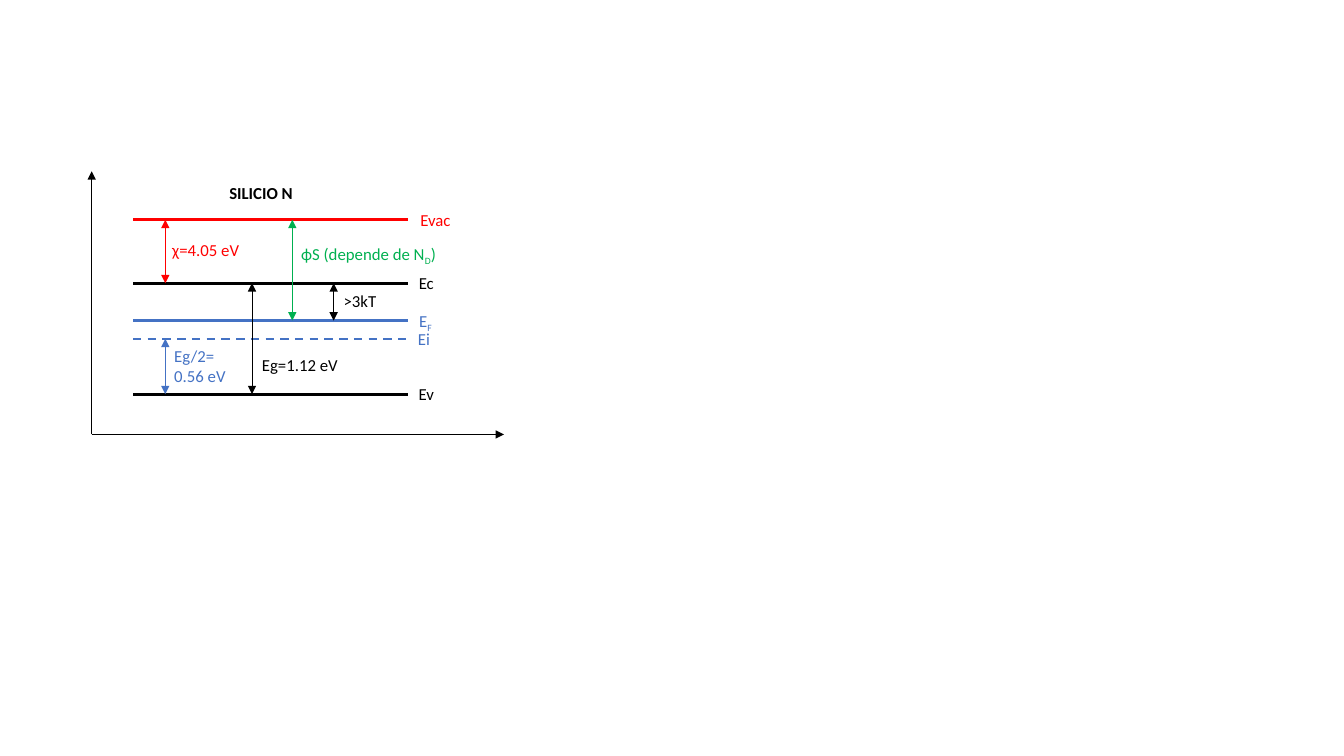
from dataclasses import dataclass

from lxml.etree import SubElement
from pptx import Presentation
from pptx.dml.color import RGBColor
from pptx.enum.dml import MSO_LINE
from pptx.enum.shapes import MSO_CONNECTOR
from pptx.enum.text import MSO_ANCHOR, MSO_AUTO_SIZE, PP_ALIGN
from pptx.oxml.ns import qn
from pptx.util import Inches, Pt

# The grid has square cells of 0.1 inch; all positions are columns and rows.
CELL = 0.1
COLUMNS, ROWS = 133.33, 75
LEVEL_START, LEVEL_END = 13.2, 40.5
LABEL_COLUMN = 40.3
AXIS_COLUMN, AXIS_ROW = 9.1, 43.1
LINE_HEIGHT = 3

BLACK, RED, BLUE, GREEN = "000000", "FF0000", "4472C4", "00B050"

EVAC, EC, EF, EV = 21.8, 28.1, 31.8, 39.1
EI = (EC + EV) / 2


@dataclass
class Level:
    row: float
    label: str
    label_width: float
    color: str
    subscript: str = ""
    dashed: bool = False


@dataclass
class Gap:
    column: float
    top: float
    bottom: float
    color: str


@dataclass
class Note:
    column: float
    row: float
    width: float
    lines: list[str]
    color: str
    subscript: str = ""
    ending: str = ""


LEVELS = [
    Level(EVAC, "Evac", 5.8, RED),
    Level(EC, "Ec", 4, BLACK),
    Level(EF, "E", 3.8, BLUE, subscript="F"),
    Level(EI, "Ei", 3.5, BLUE, dashed=True),
    Level(EV, "Ev", 4, BLACK),
]
GAPS = [
    Gap(16.4, EVAC, EC, RED),
    Gap(33.1, EC, EF, BLACK),
    Gap(16.4, EI, EV, BLUE),
    Gap(25, EC, EV, BLACK),
    Gap(29, EVAC, EF, GREEN),
]
NOTES = [
    Note(16.1, 23.3, 9.7, ["χ=4.05 eV"], RED),
    Note(33.1, 28.4, 5.8, [">3kT"], BLACK),
    Note(16.3, 33.8, 7.8, ["Eg/2=", "0.56 eV"], BLUE),
    Note(25, 34.7, 10.8, ["Eg=1.12 eV"], BLACK),
    Note(28.9, 23.7, 17.4, ["ϕS (depende de N"], GREEN, "D", ")"),
]


def grid(cells: float) -> int:
    return Inches(cells * CELL)


def rgb(color: str) -> RGBColor:
    return RGBColor.from_string(color)


def draw_line(slide, start: tuple, end: tuple, color: str, width: float,
              dashed: bool = False, arrows: tuple = ()) -> None:
    """Draw a straight line; arrows names the ends ("headEnd", "tailEnd")."""
    line = slide.shapes.add_connector(
        MSO_CONNECTOR.STRAIGHT, *map(grid, (*start, *end)))
    line.line.color.rgb = rgb(color)
    line.line.width = Pt(width)
    if dashed:
        line.line.dash_style = MSO_LINE.DASH
    properties = line._element.spPr
    for arrow in arrows:
        SubElement(properties.find(qn("a:ln")), qn(f"a:{arrow}"), type="triangle")
    SubElement(properties, qn("a:effectLst"))


def write_text(shape, lines: list[str], *, color: str, bold: bool = False,
               align: PP_ALIGN = PP_ALIGN.LEFT, subscript: str = "",
               ending: str = "") -> None:
    """Fill a shape; subscript and ending follow the last line."""
    frame = shape.text_frame
    frame.word_wrap = False
    frame.auto_size = MSO_AUTO_SIZE.SHAPE_TO_FIT_TEXT
    frame.vertical_anchor = MSO_ANCHOR.TOP
    for index, line in enumerate(lines):
        paragraph = frame.add_paragraph() if index else frame.paragraphs[0]
        paragraph.alignment = align
        paragraph.line_spacing = 1.0
        paragraph.space_before = Pt(0)
        pieces = [line]
        if index == len(lines) - 1:
            pieces += [subscript, ending]
        for position, piece in enumerate(pieces):
            if not piece:
                continue
            run = paragraph.add_run()
            run.text = piece
            run.font.name = "Calibri"
            run.font.size = Pt(12)
            run.font.bold = bold
            run.font.color.rgb = rgb(color)
            if position == 1:
                run._r.get_or_add_rPr().set("baseline", "-25000")


def add_label(slide, column: float, row: float, width: float,
              lines: list[str], **text_format) -> None:
    height = LINE_HEIGHT + 2 * (len(lines) - 1)
    box = slide.shapes.add_textbox(*map(grid, (column, row, width, height)))
    write_text(box, lines, **text_format)


def draw_level(slide, level: Level) -> None:
    draw_line(slide, (LEVEL_START, level.row), (LEVEL_END, level.row),
              level.color, 1.5 if level.dashed else 2.25, dashed=level.dashed)
    add_label(slide, LABEL_COLUMN, level.row - LINE_HEIGHT / 2,
              level.label_width, [level.label], color=level.color,
              align=PP_ALIGN.CENTER, subscript=level.subscript)


def place_title(slide) -> None:
    title = slide.shapes.title
    title.left, title.top = grid(21), grid(17.6)
    title.width, title.height = grid(9.8), grid(LINE_HEIGHT)
    write_text(title, ["SILICIO N"], color=BLACK, bold=True,
               align=PP_ALIGN.CENTER)


def main() -> None:
    deck = Presentation()
    deck.slide_width, deck.slide_height = grid(COLUMNS), grid(ROWS)
    slide = deck.slides.add_slide(deck.slide_layouts.get_by_name("Title Only"))
    place_title(slide)
    for level in LEVELS:
        draw_level(slide, level)
    for gap in GAPS:
        draw_line(slide, (gap.column, gap.top), (gap.column, gap.bottom),
                  gap.color, 0.5, arrows=("headEnd", "tailEnd"))
    for note in NOTES:
        add_label(slide, note.column, note.row, note.width, note.lines,
                  color=note.color, subscript=note.subscript,
                  ending=note.ending)
    for axis_end in ((AXIS_COLUMN, 17), (50, AXIS_ROW)):
        draw_line(slide, (AXIS_COLUMN, AXIS_ROW), axis_end, BLACK, 0.5,
                  arrows=("tailEnd",))
    deck.save("out.pptx")


if __name__ == "__main__":
    main()
